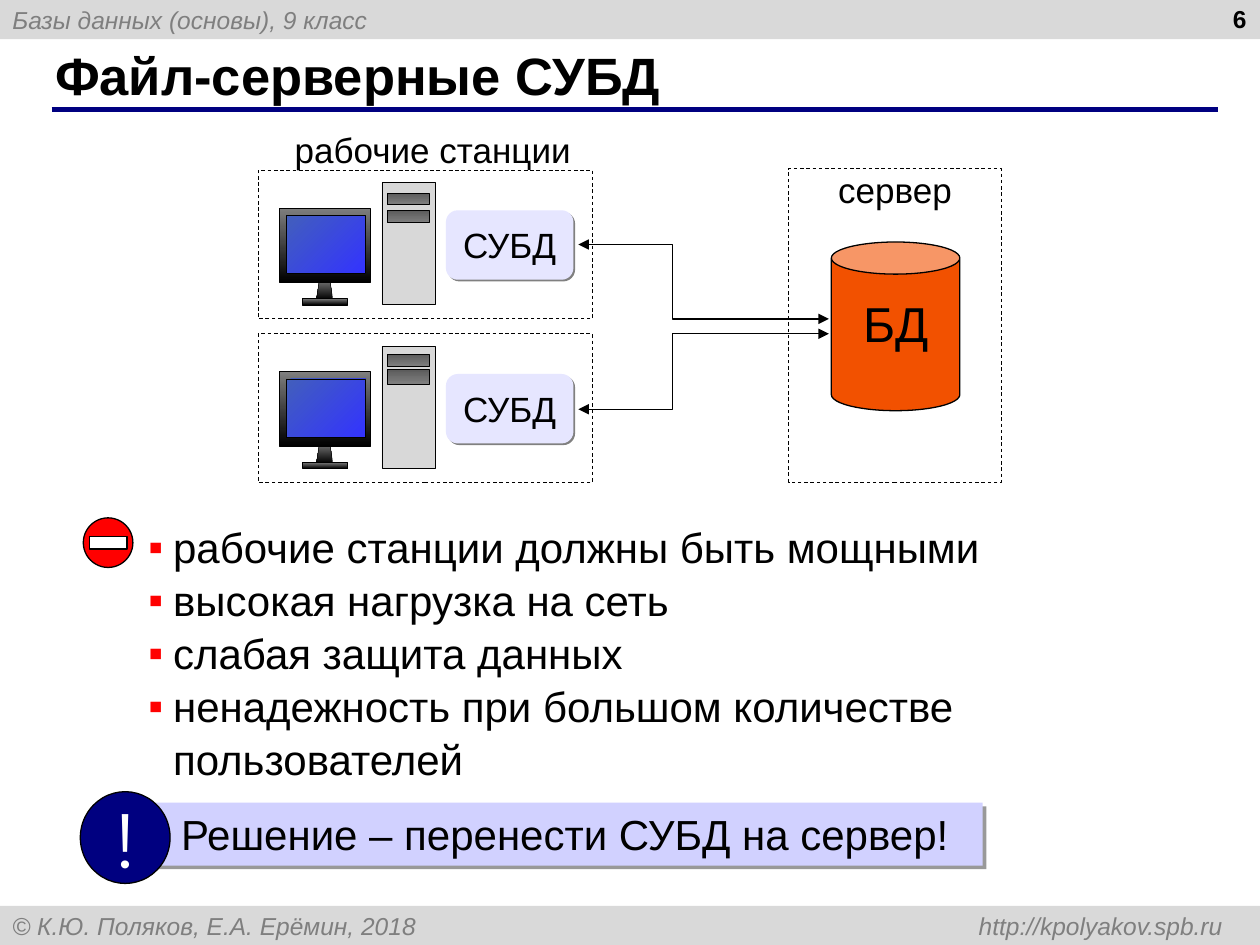
from lxml import etree
from pptx import Presentation
from pptx.dml.color import RGBColor
from pptx.enum.dml import MSO_LINE
from pptx.enum.shapes import MSO_CONNECTOR, MSO_SHAPE
from pptx.enum.text import MSO_ANCHOR, PP_ALIGN
from pptx.oxml.ns import qn
from pptx.util import Cm, Pt

RECT, OVAL, CAN = MSO_SHAPE.RECTANGLE, MSO_SHAPE.OVAL, MSO_SHAPE.CAN
ROUNDED, TRAPEZOID = MSO_SHAPE.ROUNDED_RECTANGLE, MSO_SHAPE.TRAPEZOID
LEFT, CENTER, RIGHT = PP_ALIGN.LEFT, PP_ALIGN.CENTER, PP_ALIGN.RIGHT
TOP, MIDDLE = MSO_ANCHOR.TOP, MSO_ANCHOR.MIDDLE

COLORS = {
    "black": "000000", "white": "FFFFFF", "red": "FF0000", "navy": "000080",
    "strip": "D9D9D9", "muted": "7F7F7F", "orange": "F25100", "lavender": "E6E6FF",
    "callout": "D1D1FF", "tower": "D8D8D8", "slot": "5A5A5A",
    "screen_start": "425FBC", "screen_end": "3333FF", "shade": "808080",
}
CASE = ("muted", "black", 90)
SCREEN = ("screen_start", "screen_end", 45)
SLOT = ("slot", "muted", 90)
TEXT_INSETS = (0.25, 0.13, 0.25, 0.13)

presentation = Presentation()
presentation.slide_width = Cm(25.4)
presentation.slide_height = Cm(19.05)
slide = presentation.slides.add_slide(presentation.slide_layouts[6])


def add_shape(kind, box, fill=None, line=None, dashed=False, shadow=None):
    shape = slide.shapes.add_shape(kind, *[Cm(value) for value in box])
    shape.shadow.inherit = False
    if fill is None:
        shape.fill.background()
    elif isinstance(fill, tuple):
        shape.fill.gradient()
        shape.fill.gradient_angle = 360 - fill[2]
        for stop, name in zip(shape.fill.gradient_stops, fill):
            stop.color.rgb = RGBColor.from_string(COLORS[name])
    else:
        shape.fill.solid()
        shape.fill.fore_color.rgb = RGBColor.from_string(COLORS[fill])
    if line is None:
        shape.line.fill.background()
    else:
        shape.line.color.rgb = RGBColor.from_string(COLORS["black"])
        shape.line.width = Pt(line)
        if dashed:
            shape.line.dash_style = MSO_LINE.DASH
    if shadow:
        name, distance, opacity = shadow
        effects = shape.element.spPr.find(qn("a:effectLst"))
        outer = etree.SubElement(effects, qn("a:outerShdw"), dist=str(Pt(distance)),
                                 dir="2700000", algn="tl", rotWithShape="0")
        color = etree.SubElement(outer, qn("a:srgbClr"), val=COLORS[name])
        etree.SubElement(color, qn("a:alpha"), val=str(opacity * 1000))
    return shape


def write(text, shape=None, box=None, size=20, color="black", font="Arial", bold=False,
          italic=False, align=LEFT, anchor=TOP, insets=(0, 0, 0, 0), wrap=True,
          bullet=None, right_tab=None, line_spacing=None):
    if shape is None:
        shape = slide.shapes.add_textbox(*[Cm(value) for value in box])
    frame = shape.text_frame
    frame.word_wrap = wrap
    frame.vertical_anchor = anchor
    frame.margin_left, frame.margin_top, frame.margin_right, frame.margin_bottom = [
        Cm(value) for value in insets]
    for index, content in enumerate(text.split("\n")):
        paragraph = frame.add_paragraph() if index else frame.paragraphs[0]
        properties = paragraph._p.get_or_add_pPr()
        if bullet:
            properties.set("marL", str(Cm(0.5)))
            properties.set("indent", str(-Cm(0.5)))
            bullet_color = etree.SubElement(properties, qn("a:buClr"))
            etree.SubElement(bullet_color, qn("a:srgbClr"), val=COLORS["red"])
            etree.SubElement(properties, qn("a:buFont"), typeface=font)
            etree.SubElement(properties, qn("a:buChar"), char=bullet)
        if right_tab:
            tabs = etree.SubElement(properties, qn("a:tabLst"))
            etree.SubElement(tabs, qn("a:tab"), pos=str(Cm(right_tab)), algn="r")
        paragraph.alignment = align
        if line_spacing:
            paragraph.line_spacing = line_spacing
        run = paragraph.add_run()
        run.text = content
        run.font.name = font
        run.font.size = Pt(size)
        run.font.bold = bold
        run.font.italic = italic
        run.font.color.rgb = RGBColor.from_string(COLORS[color])


for top, text in (
    (0, "Базы данных (основы), 9 класс"),
    (18.26, "© К.Ю. Поляков, Е.А. Ерёмин, 2018\thttp://kpolyakov.spb.ru"),
):
    strip = add_shape(RECT, (0, top, 25.4, 0.79), "strip")
    write(text, strip, size=14, color="muted", italic=True, anchor=MIDDLE,
          insets=TEXT_INSETS, right_tab=24.4)

title_rule = slide.shapes.add_connector(
    MSO_CONNECTOR.STRAIGHT, Cm(1.04), Cm(2.21), Cm(24.56), Cm(2.21))
title_rule.line.color.rgb = RGBColor.from_string(COLORS["navy"])
title_rule.line.width = Pt(3)
etree.SubElement(title_rule.element.spPr, qn("a:effectLst"))
write("Файл-серверные СУБД", box=(0.86, 0.84, 23.27, 1.32), size=30, bold=True,
      anchor=MIDDLE, insets=TEXT_INSETS)
write("6", box=(19.46, -0.05, 5.92, 1.32), size=14, bold=True, align=RIGHT,
      insets=TEXT_INSETS)

server = add_shape(RECT, (15.9, 3.4, 4.29, 6.32), line=0.5, dashed=True)
write("сервер", server, align=CENTER)
write("рабочие станции", box=(5.46, 2.59, 6.53, 0.74), align=CENTER)
database = add_shape(CAN, (16.76, 4.88, 2.59, 3.4), "orange", 0.75)
database.adjustments[0] = 0.25
write("БД", database, size=28, align=CENTER, insets=(0, 0.4, 0, 0))

station_left = 5.21
stations = (
    (3.43, ((0.46, 0.23), (0.81, 0.25))),
    (6.73, ((0.41, 0.25), (0.71, 0.3))),
)
for station_top, slots in stations:
    add_shape(RECT, (station_left, station_top, 6.73, 3), line=0.5, dashed=True)
    dbms = add_shape(ROUNDED, (station_left + 3.78, station_top + 0.81, 2.57, 1.4),
                     "lavender", shadow=("shade", 1.4, 100))
    dbms.adjustments[0] = 0.17
    write("СУБД", dbms, align=CENTER, anchor=MIDDLE)
    parts = [
        (TRAPEZOID, 1.17, 2.18, 0.33, 0.43, CASE),
        (RECT, 0.41, 0.76, 1.85, 1.5, CASE),
        (RECT, 0.56, 0.91, 1.6, 1.17, SCREEN),
        (RECT, 0.89, 2.59, 0.91, 0.13, CASE),
        (RECT, 2.49, 0.25, 1.07, 2.46, "tower"),
    ]
    parts += [(RECT, 2.59, top, 0.86, height, SLOT) for top, height in slots]
    for kind, left, top, width, height, fill in parts:
        part = add_shape(kind, (station_left + left, station_top + top, width, height),
                         fill, 0.25)
        if kind == TRAPEZOID:
            part.adjustments[0] = 0.2

for station_y, database_y in ((4.93, 6.43), (8.25, 6.73)):
    builder = slide.shapes.build_freeform(Cm(11.66), Cm(station_y))
    builder.add_line_segments(
        [(Cm(13.56), Cm(station_y)), (Cm(13.56), Cm(database_y)),
         (Cm(16.71), Cm(database_y))], close=False)
    link = builder.convert_to_shape()
    link.shadow.inherit = False
    link.fill.background()
    link.line.color.rgb = RGBColor.from_string(COLORS["black"])
    link.line.width = Pt(0.75)
    for end in ("a:headEnd", "a:tailEnd"):
        etree.SubElement(link.element.spPr.find(qn("a:ln")), qn(end), type="triangle")

add_shape(OVAL, (1.68, 10.44, 1, 1), "red", 0.75)
add_shape(RECT, (1.8, 10.82, 0.76, 0.25), "white", 0.75)
drawbacks = (
    "рабочие станции должны быть мощными",
    "высокая нагрузка на сеть",
    "слабая защита данных",
    "ненадежность при большом количестве пользователей",
)
write("\n".join(drawbacks), box=(2.74, 10.34, 18.69, 6.2), size=24,
      insets=TEXT_INSETS, bullet="▪", line_spacing=1.05)

solution = add_shape(RECT, (2.92, 16.18, 16.89, 1.27), "callout",
                     shadow=("black", 3, 40))
write("Решение – перенести СУБД на сервер!", solution, size=24, anchor=MIDDLE,
      insets=(0.73, 0.13, 0.25, 0.13))
exclamation = add_shape(OVAL, (1.62, 15.96, 1.81, 1.85), "navy", 0.75)
write("!", exclamation, size=44, color="white", font="Montserrat", align=CENTER,
      anchor=MIDDLE, insets=TEXT_INSETS, wrap=False)

presentation.save("out.pptx")
